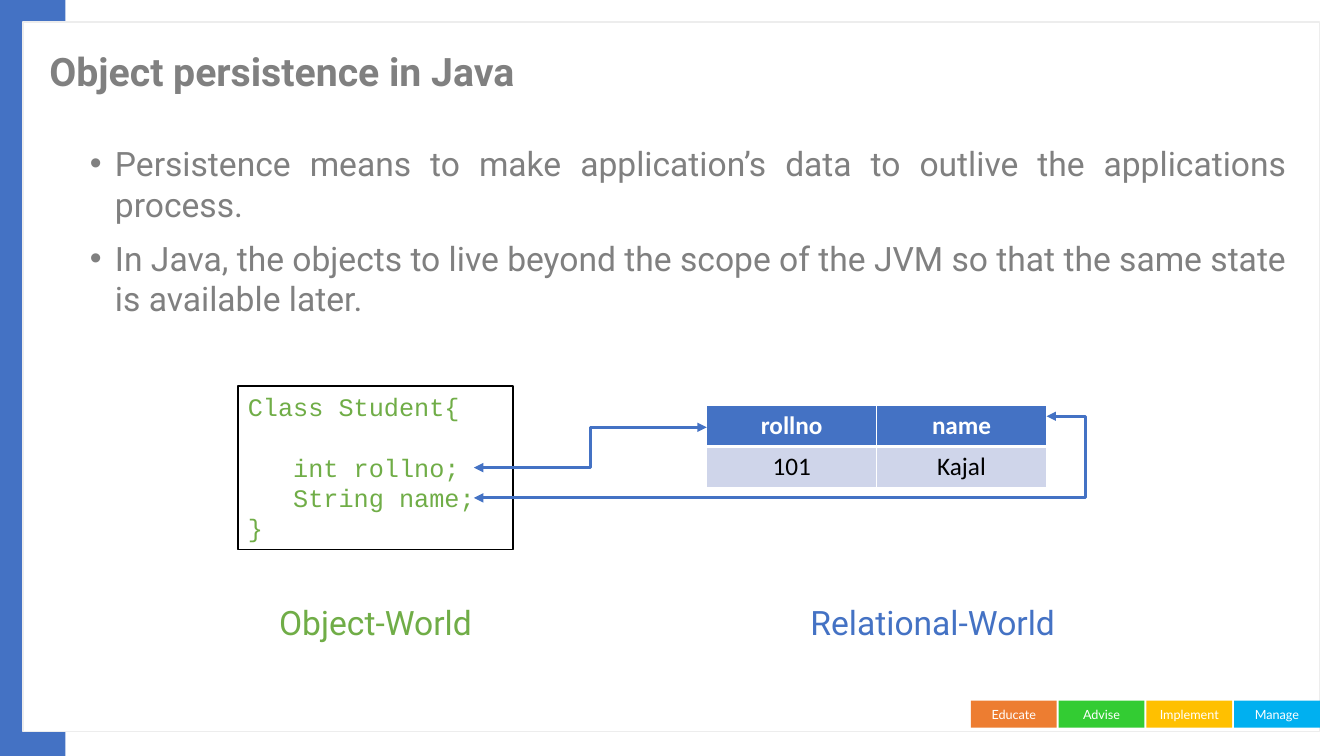
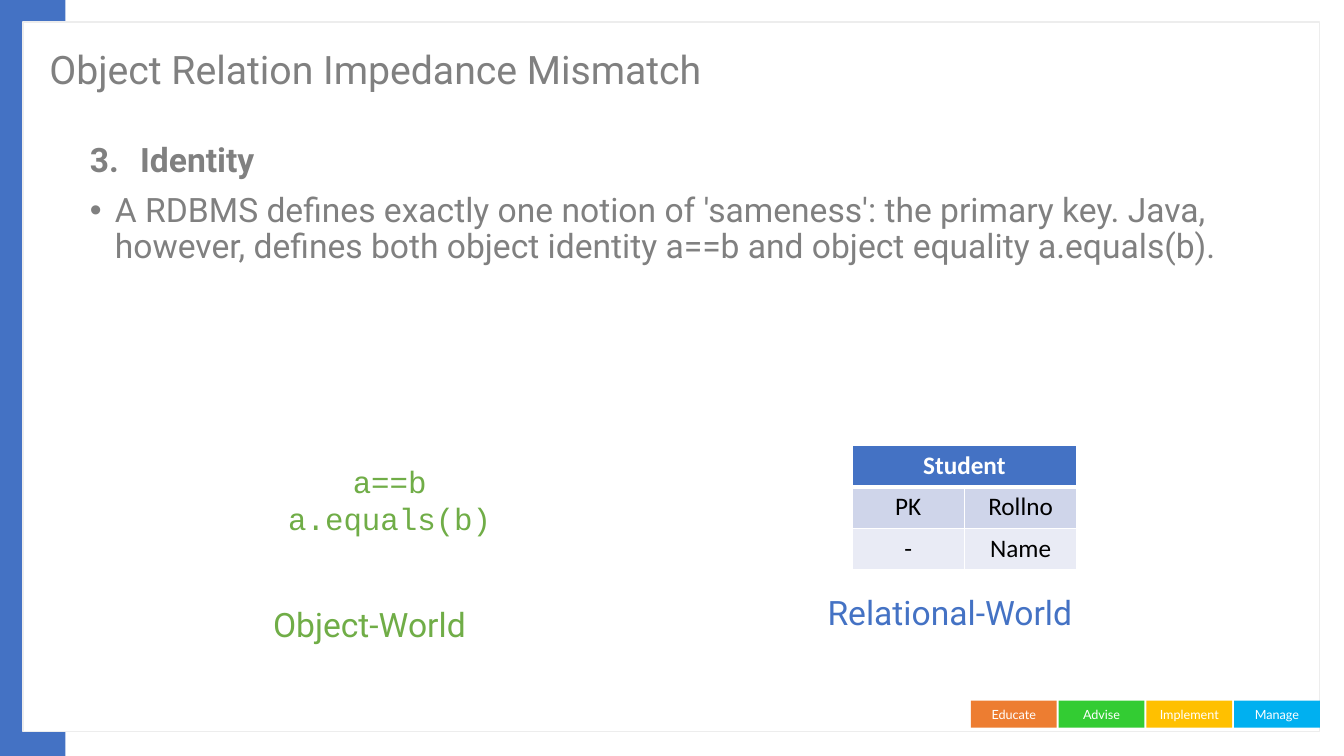
import collections

import lxml.etree
import pptx
import pptx.dml.color
import pptx.enum.shapes
import pptx.enum.text
import pptx.oxml.ns
import pptx.util

RGBColor = pptx.dml.color.RGBColor
BLUE = RGBColor(0x44, 0x72, 0xC4)
GREEN = RGBColor(0x70, 0xAD, 0x47)
GRAY = RGBColor(0x80, 0x80, 0x80)
WHITE = RGBColor(0xFF, 0xFF, 0xFF)
BLACK = RGBColor(0x00, 0x00, 0x00)
CARD_LINE = RGBColor(0xED, 0xED, 0xED)
ROW_FILLS = [RGBColor(0xCF, 0xD5, 0xEA), RGBColor(0xE9, 0xEB, 0xF5)]
BUTTONS = [
    ("Manage", RGBColor(0x00, 0xB0, 0xF0)),
    ("Implement", RGBColor(0xFF, 0xC0, 0x00)),
    ("Advise", RGBColor(0x33, 0xCC, 0x33)),
    ("Educate", RGBColor(0xED, 0x7D, 0x31)),
]

HEADING_FONT = "Roboto"
TABLE_FONT = "Calibri"
CODE_FONT = "Courier New"
BUTTON_FONT = "Lato"

LEFT = pptx.enum.text.PP_ALIGN.LEFT
CENTER = pptx.enum.text.PP_ALIGN.CENTER
JUSTIFY = pptx.enum.text.PP_ALIGN.JUSTIFY
MIDDLE = pptx.enum.text.MSO_ANCHOR.MIDDLE
TOP = pptx.enum.text.MSO_ANCHOR.TOP

EMU_PER_PX = 9144
Box = collections.namedtuple("Box", "left top width height")
Bullet = collections.namedtuple("Bullet", "text number bold", defaults=(None, False))

PAGE = Box(0, 0, 1333, 750)
CARD = Box(23, 22, 1286, 704)
BODY = Box(79, 137, 1207, 553)


def px(length):
    return pptx.util.Emu(length * EMU_PER_PX)


def emu(box):
    return [px(length) for length in box]


def add_xml(parent, tag, **attributes):
    return lxml.etree.SubElement(parent, pptx.oxml.ns.qn(tag), attributes)


def write(para, text, font=HEADING_FONT, size=24, color=GRAY, bold=False,
          align=LEFT, spacing=1.0, before=0):
    para.alignment = align
    para.line_spacing = spacing
    para.space_before = pptx.util.Pt(before)
    span = para.add_run()
    span.text = text
    span.font.name = font
    span.font.size = pptx.util.Pt(size)
    span.font.color.rgb = color
    span.font.bold = bold


def paragraphs(frame, count):
    return [frame.paragraphs[0]] + [frame.add_paragraph() for _ in range(count - 1)]


def add_panel(page, box, fill, line=None):
    panel = page.shapes.add_shape(pptx.enum.shapes.MSO_SHAPE.RECTANGLE, *emu(box))
    panel.shadow.inherit = False
    panel.fill.solid()
    panel.fill.fore_color.rgb = fill
    if line is None:
        panel.line.fill.background()
    else:
        panel.line.color.rgb = line
        panel.line.width = pptx.util.Pt(1)
    return panel


def add_buttons(page, card):
    width, height, pitch = 85, 27, 87
    right = card.left + card.width
    top = card.top + card.height - height - 4
    panels = []
    for index, (text, fill) in enumerate(BUTTONS):
        button = add_panel(page, Box(right - width - index * pitch, top, width, height), fill)
        frame = button.text_frame
        frame.vertical_anchor = MIDDLE
        write(frame.paragraphs[0], text, font=BUTTON_FONT, size=9, color=WHITE, align=CENTER)
        panels.append(button)
    return panels


def furnish_layout(page, box):
    panels = [
        add_panel(page, Box(box.left, box.top, 65, box.height), BLUE),
        add_panel(page, CARD, WHITE, CARD_LINE),
        *add_buttons(page, CARD),
    ]
    tree = page.slide_layout.shapes.element
    for index, panel in enumerate(panels):
        panel.element.nvSpPr.cNvPr.set("id", str(100 + index))
        tree.insert(2 + index, panel.element)


def place(holder, box, anchor):
    holder.left, holder.top, holder.width, holder.height = emu(box)
    frame = holder.text_frame
    frame.word_wrap = True
    frame.auto_size = pptx.enum.text.MSO_AUTO_SIZE.NONE
    frame.vertical_anchor = anchor
    return frame


def write_title(page, box, text, bold=False):
    frame = place(page.shapes.title, box, MIDDLE)
    write(frame.paragraphs[0], text, size=28, bold=bold, spacing=0.9)


def write_list(page, box, bullets, **style):
    frame = place(page.placeholders[1], box, TOP)
    for index, (para, bullet) in enumerate(zip(paragraphs(frame, len(bullets)), bullets)):
        indent = 50 if bullet.number else 25
        properties = para._p.get_or_add_pPr()
        properties.set("marL", str(px(indent)))
        properties.set("indent", str(px(-indent)))
        if bullet.number:
            add_xml(properties, "a:buFont", typeface="+mj-lt")
            add_xml(properties, "a:buAutoNum", type="arabicPeriod", startAt=str(bullet.number))
        else:
            add_xml(properties, "a:buFont", typeface="Arial")
            add_xml(properties, "a:buChar", char="•")
        write(para, bullet.text, bold=bullet.bold, before=10 if index else 0, **style)


def add_text(page, box, lines, **style):
    frame = page.shapes.add_textbox(*emu(box)).text_frame
    frame.word_wrap = True
    for para, line in zip(paragraphs(frame, len(lines)), lines):
        write(para, line, **style)


def add_class_box(page, box):
    frame = add_panel(page, box, WHITE, BLACK).text_frame
    frame.vertical_anchor = TOP
    lines = ["Class Student{", "   int rollno;", "   String name;", "}"]
    for index, (para, line) in enumerate(zip(paragraphs(frame, len(lines)), lines)):
        write(para, line, font=CODE_FONT, size=18, color=GREEN, before=22 if index == 1 else 0)


def draw_borders(cell, bottom):
    properties = cell._tc.get_or_add_tcPr()
    for tag, width in (("a:lnL", 1), ("a:lnR", 1), ("a:lnT", 1), ("a:lnB", bottom)):
        line = add_xml(properties, tag, w=str(pptx.util.Pt(width)))
        add_xml(add_xml(line, "a:solidFill"), "a:srgbClr", val=str(WHITE))


def add_grid(page, box, rows):
    columns = len(rows[-1])
    table = page.shapes.add_table(len(rows), columns, *emu(box)).table
    for row in table.rows:
        row.height = px(box.height // len(rows))
    if len(rows[0]) < columns:
        table.cell(0, 0).merge(table.cell(0, columns - 1))
    for row_index, texts in enumerate(rows):
        header = row_index == 0
        for column in range(columns):
            cell = table.cell(row_index, column)
            draw_borders(cell, 3 if header else 1)
            cell.fill.solid()
            cell.fill.fore_color.rgb = BLUE if header else ROW_FILLS[(row_index - 1) % 2]
            if column < len(texts):
                write(cell.text_frame.paragraphs[0], texts[column], font=TABLE_FONT, size=18,
                      color=WHITE if header else BLACK, bold=header, align=CENTER)


def add_link(page, start, end, bend=None):
    link = page.shapes.add_connector(
        pptx.enum.shapes.MSO_CONNECTOR.ELBOW, *emu(start), *emu(end))
    link.line.color.rgb = BLUE
    link.line.width = pptx.util.Pt(2.25)
    outline = link.line._get_or_add_ln()
    for tag in ("a:headEnd", "a:tailEnd"):
        add_xml(outline, tag, type="triangle")
    properties = link.element.spPr
    add_xml(properties, "a:effectLst")
    if bend is not None:
        guides = properties.find(".//" + pptx.oxml.ns.qn("a:avLst"))
        add_xml(guides, "a:gd", name="adj1", fmla=f"val {bend}")


def add_field_links(page, class_box, table_box):
    field_left = class_box.left + 234
    add_link(page, (field_left, class_box.top + 81), (table_box.left, table_box.top + 22))
    add_link(page, (field_left, class_box.top + 111),
             (table_box.left + table_box.width, table_box.top + 11), bend=106800)


def add_world_labels(page, object_box, relational_box):
    add_text(page, object_box, ["Object-World"], color=GREEN)
    add_text(page, relational_box, ["Relational-World"], color=BLUE)


def build_persistence(page):
    write_title(page, Box(39, 30, 1032, 87), "Object persistence in Java", bold=True)
    write_list(page, BODY, [
        Bullet("Persistence means to make application’s data to outlive the applications process."),
        Bullet("In Java, the objects to live beyond the scope of the JVM so that "
               "the same state is available later."),
    ], align=JUSTIFY)
    class_box = Box(236, 383, 273, 162)
    table_box = Box(701, 402, 337, 82)
    add_grid(page, table_box, [["rollno", "name"], ["101", "Kajal"]])
    add_class_box(page, class_box)
    add_field_links(page, class_box, table_box)
    add_world_labels(page, Box(267, 592, 251, 50), Box(794, 592, 290, 50))


def build_identity(page):
    write_title(page, Box(39, 28, 1032, 87), "Object Relation Impedance Mismatch")
    write_list(page, BODY, [
        Bullet("Identity", number=3, bold=True),
        Bullet("A RDBMS defines exactly one notion of 'sameness': the primary key. Java, "
               "however, defines both object identity a==b and object equality a.equals(b)."),
    ], spacing=0.9)
    add_world_labels(page, Box(261, 594, 251, 50), Box(811, 582, 290, 50))
    add_grid(page, Box(845, 442, 223, 123), [["Student"], ["PK", "Rollno"], ["-", "Name"]])
    add_text(page, Box(261, 454, 251, 84), ["a==b", "a.equals(b)"],
             font=CODE_FONT, size=22, color=GREEN, align=CENTER)


def main():
    deck = pptx.Presentation()
    deck.slide_width, deck.slide_height = px(PAGE.width), px(PAGE.height)
    layout = deck.slide_layouts[1]
    pages = [deck.slides.add_slide(layout) for _ in range(2)]
    furnish_layout(pages[0], PAGE)
    build_persistence(pages[0])
    build_identity(pages[1])
    deck.save("out.pptx")


if __name__ == "__main__":
    main()
